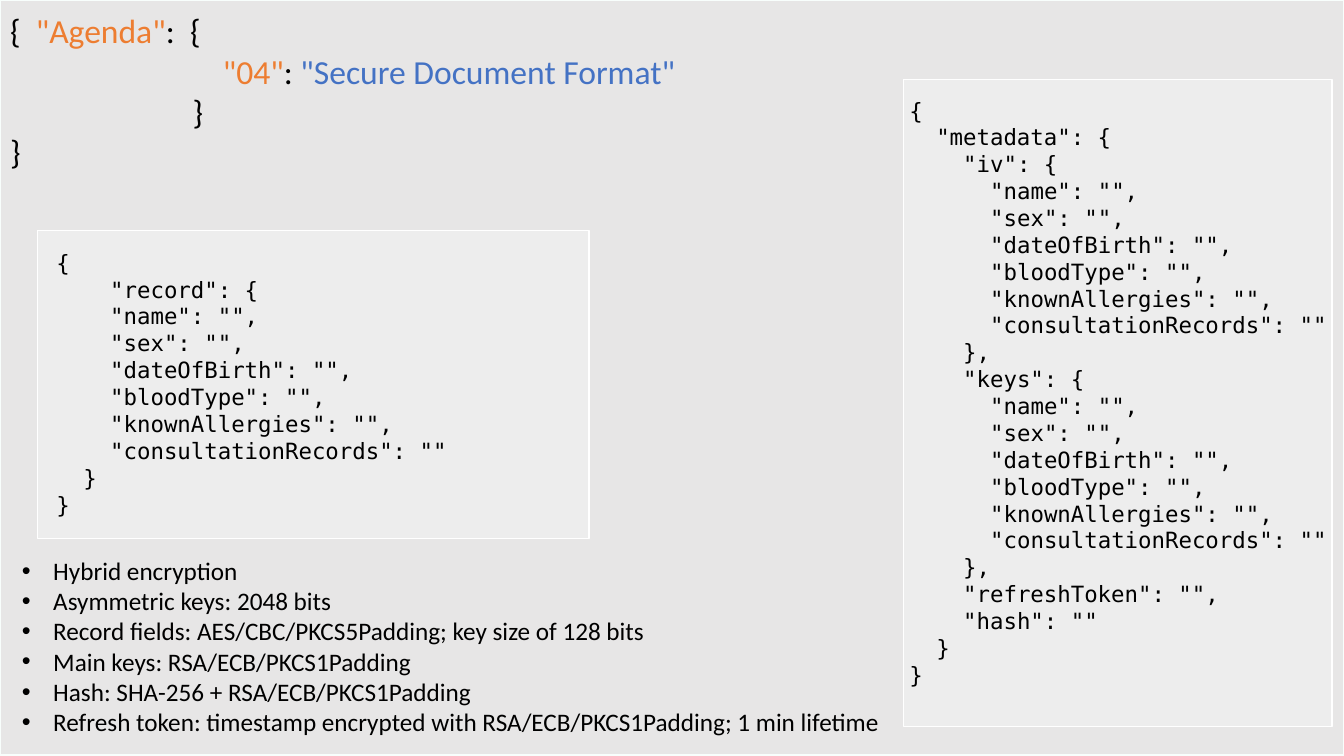
from lxml.etree import SubElement
from pptx import Presentation
from pptx.dml.color import RGBColor
from pptx.enum.shapes import MSO_SHAPE
from pptx.enum.text import MSO_ANCHOR, MSO_AUTO_SIZE, PP_ALIGN
from pptx.oxml.ns import qn
from pptx.util import Inches, Pt

WIDE, HIGH = Inches(13.33), Inches(7.5)
BLACK = RGBColor(0x00, 0x00, 0x00)
WHITE = RGBColor(0xFF, 0xFF, 0xFF)
GREY = RGBColor(0xE7, 0xE6, 0xE6)
PALE = RGBColor(0xED, 0xED, 0xED)
MINT = RGBColor(0xF8, 0xFE, 0xFC)
ORANGE = RGBColor(0xED, 0x7D, 0x31)
BLUE = RGBColor(0x44, 0x72, 0xC4)

# Text styles
HEAD = {"name": "Calibri", "size": Pt(24), "bold": False}
CODE = {"name": "DejaVu Sans Mono", "size": Pt(16)}
NOTE = {"name": "Calibri", "size": Pt(18)}
FRAME = {"word_wrap": True, "auto_size": MSO_AUTO_SIZE.NONE,
         "vertical_anchor": MSO_ANCHOR.TOP,
         "margin_left": Inches(0.1), "margin_right": Inches(0.1),
         "margin_top": Inches(0.05), "margin_bottom": Inches(0.05)}
LEAD = 1.2           # line pitch as a share of the text size
CHAR = 16 * 0.602    # width of one code character in points
HANG = Inches(0.31)  # bullet indent

# Wording: each line is (indent, [(text, colour), ...])
TITLE = [
    (0, [("{  ", BLACK), ('"Agenda"', ORANGE), (":  {", BLACK)]),
    (Inches(2.11), [('"04"', ORANGE), (":", BLACK),
                    (' "Secure Document Format"', BLUE)]),
    (Inches(1.81), [("}", BLACK)]),
    (0, [("}", BLACK)]),
]
FIELDS = ['"name": "",', '"sex": "",', '"dateOfBirth": "",',
          '"bloodType": "",', '"knownAllergies": "",',
          '"consultationRecords": ""']
NOTES = [
    "Hybrid encryption",
    "Asymmetric keys: 2048 bits",
    "Record fields: AES/CBC/PKCS5Padding; key size of 128 bits",
    "Main keys: RSA/ECB/PKCS1Padding",
    "Hash: SHA-256 + RSA/ECB/PKCS1Padding",
    "Refresh token: timestamp encrypted with RSA/ECB/PKCS1Padding; "
    "1 min lifetime",
]


def apply(item, values):
    for key, value in values.items():
        setattr(item, key, value)


def area(left, top, width, height):
    """Turn percent of the slide into left, top, width, height."""
    return (int(WIDE * left / 100), int(HIGH * top / 100),
            int(WIDE * width / 100), int(HIGH * height / 100))


def panel(shapes, box, fill, edge):
    rect = shapes.add_shape(MSO_SHAPE.RECTANGLE, *area(*box))
    rect.shadow.inherit = False
    rect.fill.solid()
    rect.fill.fore_color.rgb = fill
    rect.line.color.rgb = edge
    rect.line.width = Pt(1)


def write(frame, lines, font, dots=False):
    apply(frame, FRAME)
    for row, (indent, runs) in enumerate(lines):
        para = frame.add_paragraph() if row else frame.paragraphs[0]
        apply(para, {"alignment": PP_ALIGN.LEFT, "space_before": Pt(0),
                     "line_spacing": Pt(font["size"].pt * LEAD)})
        props = para._p.get_or_add_pPr()
        props.set("marL", str(int(indent)))
        props.set("indent", str(-int(indent) if dots else 0))
        if dots:
            SubElement(props, qn("a:buFont")).set("typeface", "Arial")
            SubElement(props, qn("a:buChar")).set("char", "•")
        for text, color in runs:
            run = para.add_run()
            run.text = text
            apply(run.font, font)
            run.font.color.rgb = color


def label(shapes, box, lines, font, dots=False):
    write(shapes.add_textbox(*area(*box)).text_frame, lines, font, dots)


def block(name, depth, inner):
    """Code lines of a named object that holds the record fields."""
    return ([(depth, f'"{name}": {{')]
            + [(inner, field) for field in FIELDS])


def code(shapes, box, lines):
    rows = [(Pt(depth * CHAR), [(text, BLACK)]) for depth, text in lines]
    label(shapes, box, rows, CODE)


def main():
    deck = Presentation()
    apply(deck, {"slide_width": WIDE, "slide_height": HIGH})
    slide = deck.slides.add_slide(deck.slide_layouts[5])
    shapes = slide.shapes

    # Backdrop, kept behind the title
    panel(shapes, (0, 0, 100, 99.87), GREY, MINT)
    title = shapes.title
    title._element.addprevious(shapes[-1]._element)

    # Title
    spot = area(0, 0.67, 84.85, 22.93)
    apply(title, dict(zip(("left", "top", "width", "height"), spot)))
    write(title.text_frame, TITLE, HEAD)

    # Metadata panel
    panel(shapes, (67.22, 10.53, 31.88, 85.6), PALE, WHITE)

    # Record panel with its code
    group = shapes.add_group_shape().shapes
    panel(group, (2.78, 30.53, 41.04, 40.67), PALE, WHITE)
    code(group, (3.45, 32.27, 39.61, 38.53),
         [(0, "{"), *block("record", 4, 4), (2, "}"), (0, "}")])

    # Metadata code
    code(shapes, (66.92, 12.13, 33.08, 83.87),
         [(0, "{"), (2, '"metadata": {'),
          *block("iv", 4, 6), (4, "},"),
          *block("keys", 4, 6), (4, "},"),
          (4, '"refreshToken": "",'), (4, '"hash": ""'),
          (2, "}"), (0, "}")])

    # Notes
    label(shapes, (0.9, 72.8, 65.94, 27.2),
          [(HANG, [(text, BLACK)]) for text in NOTES], NOTE, dots=True)

    deck.save("out.pptx")


if __name__ == "__main__":
    main()
